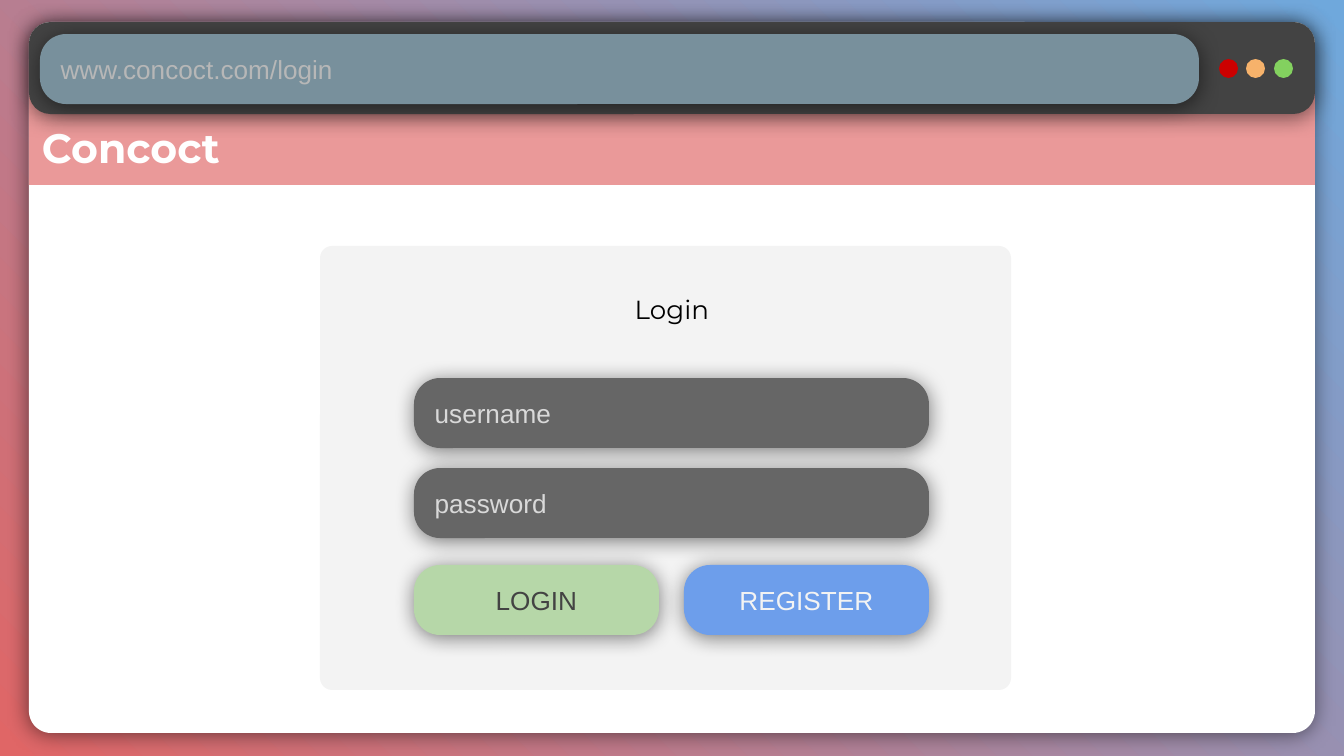
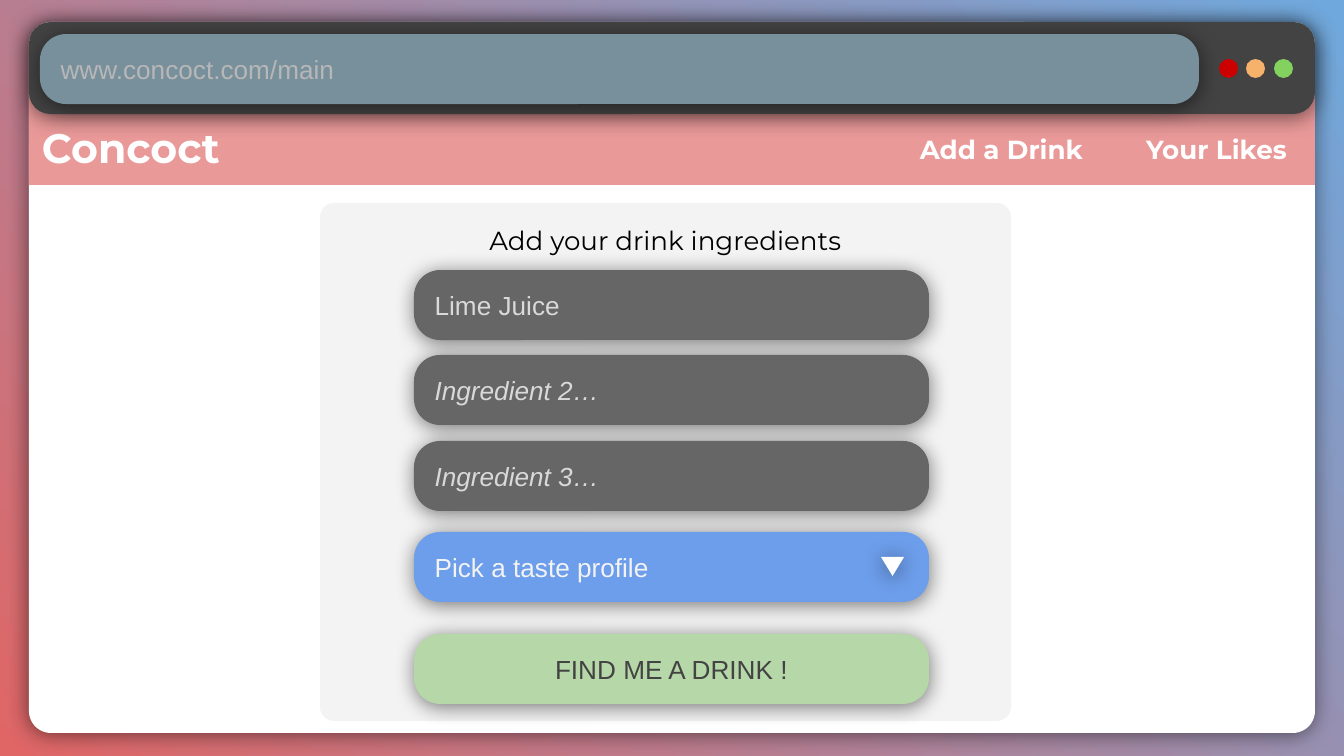
from lxml import etree
from pptx import Presentation
from pptx.dml.color import RGBColor
from pptx.enum.shapes import MSO_SHAPE
from pptx.enum.text import MSO_ANCHOR, MSO_AUTO_SIZE, PP_ALIGN
from pptx.oxml.ns import qn
from pptx.util import Emu, Pt

ROUND, RECT = MSO_SHAPE.ROUNDED_RECTANGLE, MSO_SHAPE.RECTANGLE
OVAL, WEDGE = MSO_SHAPE.OVAL, MSO_SHAPE.ISOSCELES_TRIANGLE
LEFT, MID = PP_ALIGN.LEFT, PP_ALIGN.CENTER
TOP, CORE, BASE = MSO_ANCHOR.TOP, MSO_ANCHOR.MIDDLE, MSO_ANCHOR.BOTTOM
GROW = MSO_AUTO_SIZE.SHAPE_TO_FIT_TEXT
SCALE = 914400 / 134.4
WIDE, HIGH, PAD = 1344, 756, 13
EDGE, SPAN = 29, 1286
COL, FULL, HALF, TALL = 414, 515, 245, 70

HUES = {
    "sky": "6FA8DC", "coral": "E06666", "white": "FFFFFF", "pink": "EA9999",
    "dark": "434343", "slate": "78909C", "silver": "B7B7B7", "red": "CC0000",
    "orange": "F6B26B", "lime": "83D15F", "pale": "F3F3F3", "grey": "666666",
    "light": "D9D9D9", "green": "B6D7A8", "blue": "6D9EEB", "black": "000000",
}
BODY = {"name": "Arial", "size": Pt(14), "bold": False}
HEAD = {"name": "Montserrat", "size": Pt(14), "bold": False}
LINK = {**HEAD, "bold": True}
BRAND = {**LINK, "size": Pt(22)}


def px(*nums):
    return [Emu(round(n * SCALE)) for n in nums]


def hue(name):
    return RGBColor.from_string(HUES[name])


class Page:
    """Hold the shared style and draw elements on the current slide."""

    def __init__(self, deck):
        self.deck = deck
        self.slide = None

    def start(self, link):
        self.slide = self.deck.slides.add_slide(self.deck.slide_layouts[5])
        fill = self.slide.background.fill
        fill.gradient()
        fill.gradient_angle = 225
        for stop, name in zip(fill.gradient_stops, ("sky", "coral")):
            stop.color.rgb = hue(name)
        self.shape(ROUND, (EDGE, 22, SPAN, 711), "white", 0.031, True)
        band = self.shape(RECT, (EDGE, 59, SPAN, 126), "pink")
        self.words(band, "Concoct", "white", BRAND, anchor=BASE)
        self.shape(ROUND, (EDGE, 22, SPAN, 92), "dark", 0.233, True)
        self.pill((40, 34, 1159, TALL), link, "slate", "silver")
        for i, name in enumerate(("red", "orange", "lime")):
            self.shape(OVAL, (1219 + i * 55 // 2, 59, 19, 19), name)

    def shape(self, kind, box, fill, curve=None, shade=False):
        item = self.slide.shapes.add_shape(kind, *px(*box))
        item.fill.solid()
        item.fill.fore_color.rgb = hue(fill)
        item.line.fill.background()
        item.shadow.inherit = False
        if curve is not None:
            item.adjustments[0] = curve
        if shade:
            self.shade(item)
        return item

    def shade(self, item):
        root = item.element.spPr.find(qn("a:effectLst"))
        drop = etree.SubElement(root, qn("a:outerShdw"), blurRad="142240",
                                dist="19050", dir="5400000", algn="bl",
                                rotWithShape="0")
        tint = etree.SubElement(drop, qn("a:srgbClr"), val=HUES["black"])
        etree.SubElement(tint, qn("a:alpha"), val="50000")

    def words(self, item, text, ink, style, align=LEFT, anchor=CORE, fit=None):
        frame = item.text_frame
        frame.text = text
        look = {"word_wrap": True, "vertical_anchor": anchor}
        look |= {f"margin_{side}": px(PAD)[0]
                 for side in ("left", "right", "top", "bottom")}
        if fit is not None:
            look["auto_size"] = fit
        for key, val in look.items():
            setattr(frame, key, val)
        para = frame.paragraphs[0]
        para.alignment = align
        font = para.runs[0].font
        for key, val in style.items():
            setattr(font, key, val)
        font.color.rgb = hue(ink)

    def pill(self, box, text, fill, ink, align=LEFT, slant=False):
        item = self.shape(ROUND, box, fill, 0.372, True)
        self.words(item, text, ink, {**BODY, "italic": slant}, align)

    def field(self, top, text, slant=False):
        self.pill((COL, top, FULL, TALL), text, "grey", "light", slant=slant)

    def panel(self, top, high):
        self.shape(ROUND, (320, top, 691, high), "pale", 0.027)

    def title(self, box, text):
        item = self.slide.shapes.title
        self.slide.shapes.element.append(item.element)
        for key, val in zip(("left", "top", "width", "height"), px(*box)):
            setattr(item, key, val)
        self.words(item, text, "black", HEAD, MID, TOP, GROW)

    def label(self, box, text):
        item = self.slide.shapes.add_textbox(*px(*box))
        self.words(item, text, "white", LINK, MID, TOP, GROW)

    def arrow(self, box):
        item = self.shape(WEDGE, box, "white", 0.5, True)
        item.rotation = 180


def login(page):
    page.start("www.concoct.com/login")
    page.panel(246, 444)
    page.title((598, 280, 148, 59), "Login")
    for i, text in enumerate(("username", "password")):
        page.field(378 + 90 * i, text)
    keys = (("LOGIN", "green", "dark"), ("REGISTER", "blue", "pale"))
    for i, (text, fill, ink) in enumerate(keys):
        left = COL + i * (FULL - HALF)
        page.pill((left, 565, HALF, TALL), text, fill, ink, MID)


def search(page):
    page.start("www.concoct.com/main")
    page.panel(203, 518)
    page.title((320, 211, 691, 59), "Add your drink ingredients")
    for i, text in enumerate(("Lime Juice", "Ingredient 2…", "Ingredient 3…")):
        page.field(270 + i * 171 // 2, text, i > 0)
    page.pill((COL, 532, FULL, TALL), "Pick a taste profile", "blue", "pale")
    page.arrow((881, 557, 23, 19))
    page.pill((COL, 634, FULL, TALL), "FIND ME A DRINK !", "green", "dark", MID)
    for i, text in enumerate(("Add a Drink", "Your Likes")):
        page.label((903 + 215 * i, 120, 197, 59), text)


def main():
    deck = Presentation()
    deck.slide_width, deck.slide_height = px(WIDE, HIGH)
    page = Page(deck)
    login(page)
    search(page)
    deck.save("out.pptx")


if __name__ == "__main__":
    main()
